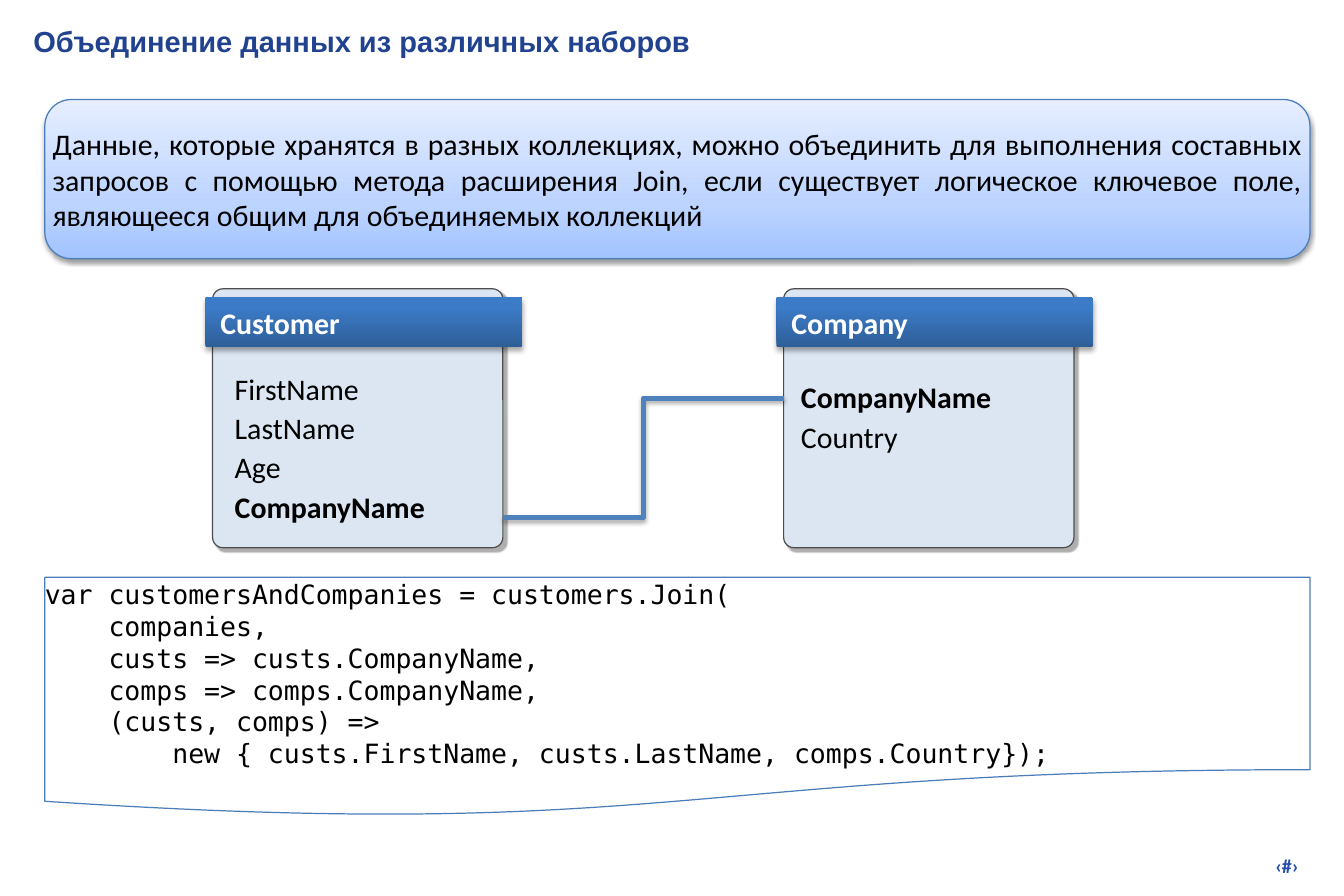
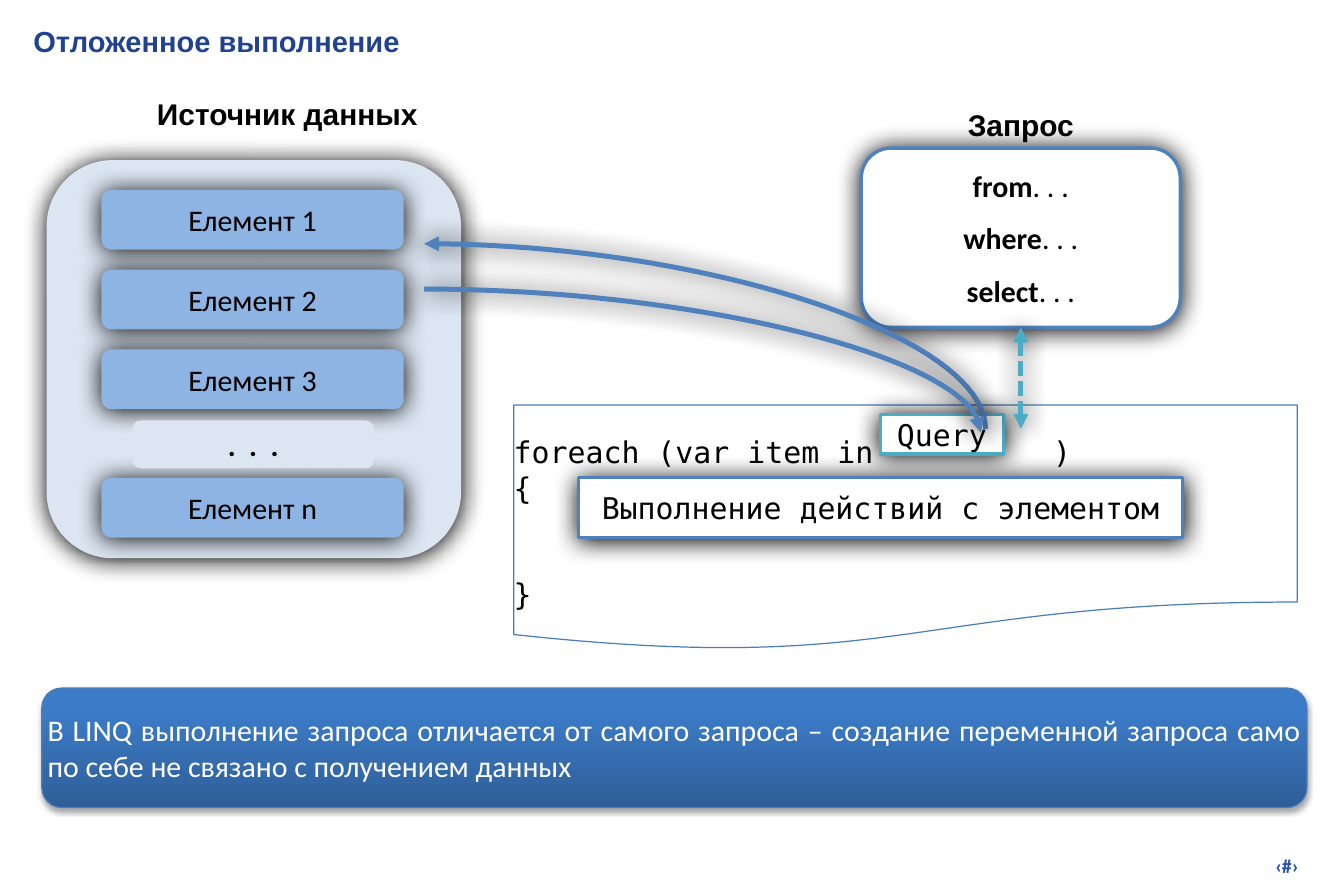
"""Build two lecture slides on joining collections and on deferred queries."""
from lxml import etree
from pptx import Presentation
from pptx.dml.color import RGBColor
from pptx.enum.dml import MSO_LINE
from pptx.enum.shapes import MSO_CONNECTOR, MSO_SHAPE
from pptx.enum.text import MSO_ANCHOR, PP_ALIGN
from pptx.oxml.ns import qn
from pptx.util import Emu, Inches, Pt

ROUNDED, PLAIN, DOCUMENT = (
    MSO_SHAPE.ROUNDED_RECTANGLE, MSO_SHAPE.RECTANGLE, MSO_SHAPE.FLOWCHART_DOCUMENT)
STRAIGHT, ELBOW = MSO_CONNECTOR.STRAIGHT, MSO_CONNECTOR.ELBOW
TOP, MIDDLE = MSO_ANCHOR.TOP, MSO_ANCHOR.MIDDLE
LEFT, CENTER, RIGHT, JUSTIFY = PP_ALIGN.LEFT, PP_ALIGN.CENTER, PP_ALIGN.RIGHT, PP_ALIGN.JUSTIFY
DASHED = MSO_LINE.SQUARE_DOT

COLUMNS, ROWS = 45, 30
HEADING, BODY, CODE = "Arial", "Calibri", "DejaVu Sans Mono"
BLACK, WHITE, NAVY, FOOTER = "000000", "FFFFFF", "21438F", "2750AB"
PALE, SKY, BLUE, EDGE, TEAL, GREY = "DCE6F2", "8EB4E3", "4F81BD", "4A7EBB", "4BACC6", "4D4D4D"
DEEP_BLUE = ((0, "2E5E97"), (80, "3C7BC7"), (100, "3A7CCA"))
LIGHT_BLUE = ((0, "A2C3FF"), (35, "BDD4FF"), (100, "E6EEFF"))
CARD_SHADOW = ("5F5F5F", 50, 1, 2.8, 45)
SOFT_SHADOW = (BLACK, 35, 3, 1.8, 90)
GLOW = (BLACK, 100, 15, 0.7, 90)


def rgb(value):
    """Turn a hex string into a colour."""
    return RGBColor.from_string(value)


class Deck:
    """Holds the style, the grid and the current slide."""

    def __init__(self):
        """Open an empty presentation and size its grid."""
        self.show = Presentation()
        self.show.slide_width, self.show.slide_height = Inches(11.25), Inches(7.5)
        self.column = self.show.slide_width / COLUMNS
        self.row = self.show.slide_height / ROWS
        self.slide = None

    def x(self, columns):
        """Turn columns into a length."""
        return Emu(round(columns * self.column))

    def y(self, rows):
        """Turn rows into a length."""
        return Emu(round(rows * self.row))

    def place(self, box):
        """Turn a grid box into left, top, width and height."""
        left, top, width, height = box
        return self.x(left), self.y(top), self.x(width), self.y(height)

    def new_slide(self, title):
        """Add a slide with its title and footer."""
        self.slide = self.show.slides.add_slide(self.show.slide_layouts[6])
        self.label((1.12, 0.8, 42.96, 1.6), title, size=17.5, font=HEADING,
                   color=NAVY, bold=True)
        self.label((34.16, 28.4, 9.52, 1.16), "‹#›", size=12, color=FOOTER,
                   bold=True, align=RIGHT, inset=(0.2, 0.2))

    def format_run(self, run, size=18, font=BODY, color=BLACK, bold=False):
        """Give a run its font."""
        run.font.size, run.font.name, run.font.bold = Pt(size), font, bold
        run.font.color.rgb = rgb(color)

    def set_lines(self, holder, text, align=LEFT, anchor=MIDDLE, inset=(0, 0), gap=0, **style):
        """Fill a holder with lines of text."""
        frame = holder.text_frame
        frame.text = text
        frame.word_wrap, frame.vertical_anchor = True, anchor
        frame.margin_left, frame.margin_top = self.x(inset[0]), self.y(inset[1])
        frame.margin_right = self.x(inset[0]) if align == RIGHT else 0
        frame.margin_bottom = 0
        for index, paragraph in enumerate(frame.paragraphs):
            paragraph.alignment = align
            if index and gap:
                paragraph.space_before = Pt(gap)
            for run in paragraph.runs:
                self.format_run(run, **style)

    def label(self, box, text, **style):
        """Add free text."""
        holder = self.slide.shapes.add_textbox(*self.place(box))
        self.set_lines(holder, text, anchor=TOP, **style)

    def cast_shadow(self, item, shadow):
        """Replace the theme shadow of a shape or connector."""
        effects = item.element.spPr.find(qn("a:effectLst"))
        if effects is None:
            effects = etree.SubElement(item.element.spPr, qn("a:effectLst"))
        if shadow:
            color, alpha, blur, distance, angle = shadow
            outer = etree.SubElement(
                effects, qn("a:outerShdw"), blurRad=str(Pt(blur)), dist=str(Pt(distance)),
                dir=str(angle * 60000), algn="ctr", rotWithShape="0")
            tint = etree.SubElement(outer, qn("a:srgbClr"), val=color)
            etree.SubElement(tint, qn("a:alpha"), val=str(alpha * 1000))

    def paint(self, shape, fill, line, shadow):
        """Set fill, outline and shadow of a shape."""
        shape.shadow.inherit = False
        if isinstance(fill, str):
            shape.fill.solid()
            shape.fill.fore_color.rgb = rgb(fill)
        elif fill:
            shape.fill.gradient()
            shape.fill.gradient_angle = 90
            stops = shape.element.spPr.find(".//" + qn("a:gsLst"))
            for stop in list(stops):
                stops.remove(stop)
            for share, color in fill:
                stop = etree.SubElement(stops, qn("a:gs"), pos=str(share * 1000))
                etree.SubElement(stop, qn("a:srgbClr"), val=color)
        else:
            shape.fill.background()
        if line:
            self.stroke(shape, *line)
        else:
            shape.line.fill.background()
        self.cast_shadow(shape, shadow)

    def stroke(self, item, color, width):
        """Set the colour and width of a line."""
        item.line.color.rgb, item.line.width = rgb(color), Pt(width)

    def arrowheads(self, item, *ends):
        """Add triangles to the named ends of a line."""
        outline = item.element.spPr.find(qn("a:ln"))
        for end in ends:
            etree.SubElement(outline, qn("a:" + end), type="triangle")

    def panel(self, kind, box, fill, line=None, shadow=None, rounding=None, text="", **style):
        """Add a painted shape with its text."""
        shape = self.slide.shapes.add_shape(kind, *self.place(box))
        if rounding:
            shape.adjustments[0] = rounding
        self.paint(shape, fill, line, shadow)
        if text:
            self.set_lines(shape, text, **style)
        return shape

    def callout(self, box, fill, shadow, text, color):
        """Add a wide rounded statement."""
        self.panel(ROUNDED, box, fill, (EDGE, 0.75), shadow, text=text,
                   align=JUSTIFY, color=color)

    def entity(self, left, name, fields, key, inset):
        """Add a class card whose key field is bold."""
        top = 9.67
        card = self.panel(ROUNDED, (left, top, 9.72, 8.67), PALE, (GREY, 0.75), CARD_SHADOW,
                          0.04, "\n".join(fields), anchor=TOP, inset=inset, gap=2)
        card.text_frame.paragraphs[fields.index(key)].runs[0].font.bold = True
        self.panel(ROUNDED, (left - 0.24, top + 0.28, 10.6, 1.68), DEEP_BLUE, None, SOFT_SHADOW,
                   0.04, name, inset=(0.48, 0), color=WHITE, bold=True)

    def code(self, box, text, **style):
        """Add a sheet of code."""
        return self.panel(DOCUMENT, box, WHITE, (EDGE, 0.75), text=text, font=CODE, **style)

    def connector(self, kind, start, end, color, shadow):
        """Add a connector between two grid points."""
        link = self.slide.shapes.add_connector(
            kind, self.x(start[0]), self.y(start[1]), self.x(end[0]), self.y(end[1]))
        self.stroke(link, color, 3)
        self.cast_shadow(link, shadow)
        return link

    def arc(self, start, end, arrow, steps=40):
        """Draw a curve that leaves level and arrives upright."""
        (x0, y0), (x1, y1) = start, end
        controls = (start, ((x0 + x1) / 2, y0), (x1, (y0 + y1) / 2), end)
        points = []
        for step in range(steps + 1):
            t = step / steps
            weights = ((1 - t) ** 3, 3 * t * (1 - t) ** 2, 3 * t * t * (1 - t), t ** 3)
            across, down = (sum(w * c[axis] for w, c in zip(weights, controls))
                            for axis in (0, 1))
            points.append((self.x(across), self.y(down)))
        builder = self.slide.shapes.build_freeform(*points[0])
        builder.add_line_segments(points[1:], close=False)
        curve = builder.convert_to_shape()
        self.paint(curve, None, (BLUE, 3), GLOW)
        self.arrowheads(curve, arrow)


def join_slide(deck):
    """Show how two collections are joined by a key."""
    deck.new_slide("Объединение данных из различных наборов")
    key = "CompanyName"
    deck.entity(7.12, "Customer", ["FirstName", "LastName", "Age", key], key, (0.64, 2.64))
    deck.entity(26.24, "Company", [key, "Country"], key, (0.48, 2.92))
    deck.connector(ELBOW, (16.84, 17.33), (26.24, 13.33), BLUE, SOFT_SHADOW)
    deck.callout(
        (1.5, 3.33, 42.36, 5.33), LIGHT_BLUE, (BLACK, 38, 3, 1.6, 90),
        "Данные, которые хранятся в разных коллекциях, можно объединить для выполнения "
        "составных запросов с помощью метода расширения Join, если существует логическое "
        "ключевое поле, являющееся общим для объединяемых коллекций", BLACK)
    deck.code((1.5, 19.33, 42.36, 8.03), "\n".join((
        "var customersAndCompanies = customers.Join(",
        "    companies,",
        "    custs => custs.CompanyName,",
        "    comps => comps.CompanyName,",
        "    (custs, comps) =>",
        "        new { custs.FirstName, custs.LastName, comps.Country});")), size=16)


def deferred_slide(deck):
    """Show that a query runs only when it is iterated."""
    deck.new_slide("Отложенное выполнение")
    deck.panel(ROUNDED, (1.56, 5.36, 13.88, 13.33), PALE, shadow=GLOW)
    first, step = 6.36, 2.67
    rows = [(str(i + 1), first + i * step) for i in range(3)] + [("n", 16)]
    for number, top in rows:
        deck.panel(ROUNDED, (3.4, top, 10.12, 2), SKY, shadow=GLOW,
                   text="Елемент " + number, align=CENTER)
    omitted = deck.panel(ROUNDED, (4.44, 14.08, 8.08, 1.6), PALE,
                         text=". . .", align=CENTER, bold=True)
    omitted.element.find(".//" + qn("a:rPr")).set("spc", "200")

    query = deck.panel(ROUNDED, (28.84, 4.96, 10.68, 6), WHITE, (BLUE, 2), GLOW,
                       text="from\nwhere\nselect", align=CENTER, gap=10, bold=True)
    for clause in query.text_frame.paragraphs:
        rest = clause.add_run()
        rest.text = ". . ."
        deck.format_run(rest)
    for box, caption in (((31, 3.36, 6.36, 1.52), "Запрос"),
                         ((2.68, 3, 13.88, 1.52), "Источник данных")):
        deck.label(box, caption, font=HEADING, bold=True, align=CENTER, inset=(0, 0.2))

    loop = deck.code((17.2, 13.56, 26.24, 8.23), "foreach (var item in\t)\n{\n}",
                     anchor=TOP, inset=(0, 0.97))
    opening, _, closing = loop.text_frame.paragraphs
    closing.space_before = Pt(42)
    stops = etree.SubElement(opening._p.get_or_add_pPr(), qn("a:tabLst"))
    etree.SubElement(stops, qn("a:tab"), pos=str(deck.x(18.06)), algn="l")

    deck.panel(PLAIN, (29.48, 13.88, 4.12, 1.32), WHITE, (TEAL, 2), GLOW,
               text="Query", align=CENTER, font=CODE)
    deck.arc((14.2, 8.16), (33, 14.36), "headEnd")
    link = deck.connector(STRAIGHT, (34.18, 10.96), (34.18, 14.36), TEAL, GLOW)
    link.begin_connect(query, 2)
    link.line.dash_style = DASHED
    deck.arrowheads(link, "headEnd", "tailEnd")
    deck.arc((14.2, 9.68), (32.84, 14.48), "tailEnd")
    deck.panel(PLAIN, (19.36, 16, 20.24, 2), WHITE, (BLUE, 2), GLOW,
               text="Выполнение действий с элементом", align=CENTER, font=CODE)
    deck.callout(
        (1.4, 23.04, 42.36, 4), DEEP_BLUE, SOFT_SHADOW,
        "В LINQ выполнение запроса отличается от самого запроса – создание переменной "
        "запроса само по себе не связано с получением данных", WHITE)


def main():
    """Build both slides and save them."""
    deck = Deck()
    join_slide(deck)
    deferred_slide(deck)
    deck.show.save("out.pptx")


if __name__ == "__main__":
    main()
